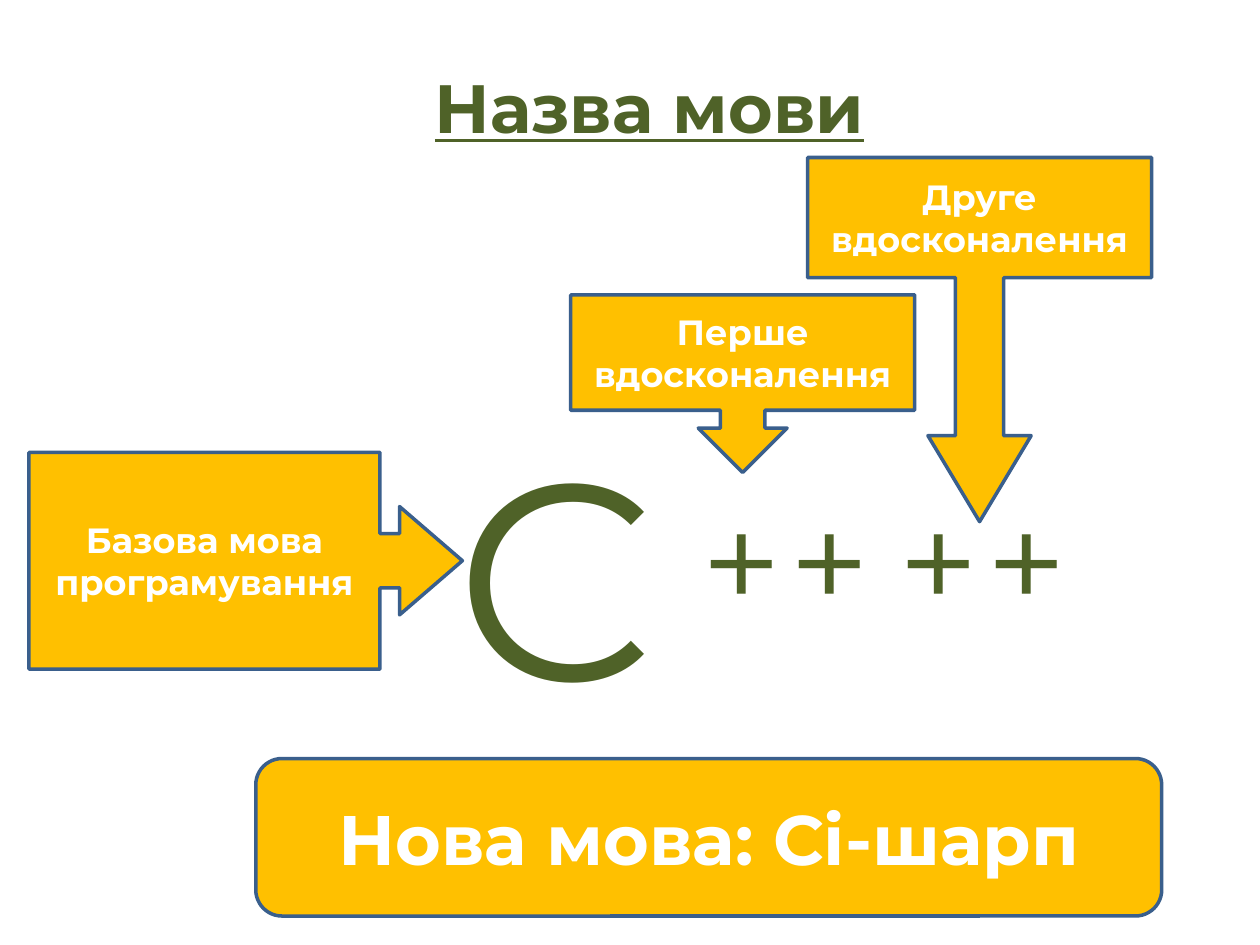
from dataclasses import dataclass

from pptx import Presentation
from pptx import util as u
from pptx.dml.color import RGBColor
from pptx.enum import shapes, text

FONT = "Montserrat"
GREEN, GOLD, BLUE, WHITE = "4F6228", "FFC000", "3A5F8C", "FFFFFF"
KIND = shapes.MSO_SHAPE


@dataclass
class Label:
    wording: str
    left: float
    top: float
    width: float
    height: float
    size: int
    bold: bool = False
    underline: bool = False
    centred: bool = False
    wrap: bool = False


@dataclass
class Panel:
    kind: KIND
    label: Label
    adjustments: tuple[float, ...] = ()


def colour(value: str) -> RGBColor:
    return RGBColor.from_string(value)


def bounds(label: Label) -> list[u.Inches]:
    return [u.Inches(n) for n in (label.left, label.top, label.width, label.height)]


def write(frame, label: Label, ink: str) -> None:
    frame.word_wrap = label.wrap
    para = frame.paragraphs[0]
    para.text = label.wording
    para.alignment = text.PP_ALIGN.CENTER if label.centred else text.PP_ALIGN.LEFT
    font = para.font
    font.name, font.size, font.bold = FONT, u.Pt(label.size), label.bold
    font.underline = label.underline
    font.color.rgb = colour(ink)


def draw_label(page, label: Label) -> None:
    box = page.shapes.add_textbox(*bounds(label))
    write(box.text_frame, label, GREEN)


def draw_panel(page, panel: Panel) -> None:
    box = page.shapes.add_shape(panel.kind, *bounds(panel.label))
    for index, value in enumerate(panel.adjustments):
        box.adjustments[index] = value
    box.shadow.inherit = False
    box.fill.solid()
    box.fill.fore_color.rgb = colour(GOLD)
    box.line.color.rgb = colour(BLUE)
    box.line.width = u.Pt(2)
    box.text_frame.vertical_anchor = text.MSO_ANCHOR.MIDDLE
    write(box.text_frame, panel.label, WHITE)


def panel_label(wording: str, left: float, top: float, width: float,
                height: float, size: int = 20) -> Label:
    return Label(wording, left, top, width, height, size,
                 bold=True, centred=True, wrap=True)


PLUS_GAP, PAIR_GAP = 0.7, 1.56
LABELS = [
    Label("C", 3.52, 3.14, 1.95, 2.79, 160),
    *(Label("+", 5.47 + pair * PAIR_GAP + plus * PLUS_GAP, 3.71, 1.02, 1.45, 80)
      for pair in range(2) for plus in range(2)),
    Label("Назва мови", 2.03, 0.47, 6.25, 1.25, 39, True, True, True, True),
]
PANELS = [
    Panel(KIND.RIGHT_ARROW_CALLOUT,
          panel_label("Базова мова програмування", 0.23, 3.59, 3.44, 1.72),
          (0.25, 0.25, 0.29, 0.81)),
    Panel(KIND.DOWN_ARROW_CALLOUT,
          panel_label("Перше вдосконалення", 4.53, 2.34, 2.73, 1.41)),
    Panel(KIND.DOWN_ARROW_CALLOUT,
          panel_label("Друге вдосконалення", 6.41, 1.25, 2.73, 2.89),
          (0.14, 0.15, 0.25, 0.33)),
    Panel(KIND.ROUNDED_RECTANGLE,
          panel_label("Нова мова: Сі-шарп", 2.03, 6.02, 7.19, 1.25, 40)),
]


def main() -> None:
    """Build the slide that explains the language's name."""
    deck = Presentation()
    deck.slide_width, deck.slide_height = u.Inches(10), u.Inches(7.5)
    page = deck.slides.add_slide(deck.slide_layouts[6])
    for label in LABELS:
        draw_label(page, label)
    for panel in PANELS:
        draw_panel(page, panel)
    deck.save("out.pptx")


if __name__ == "__main__":
    main()
